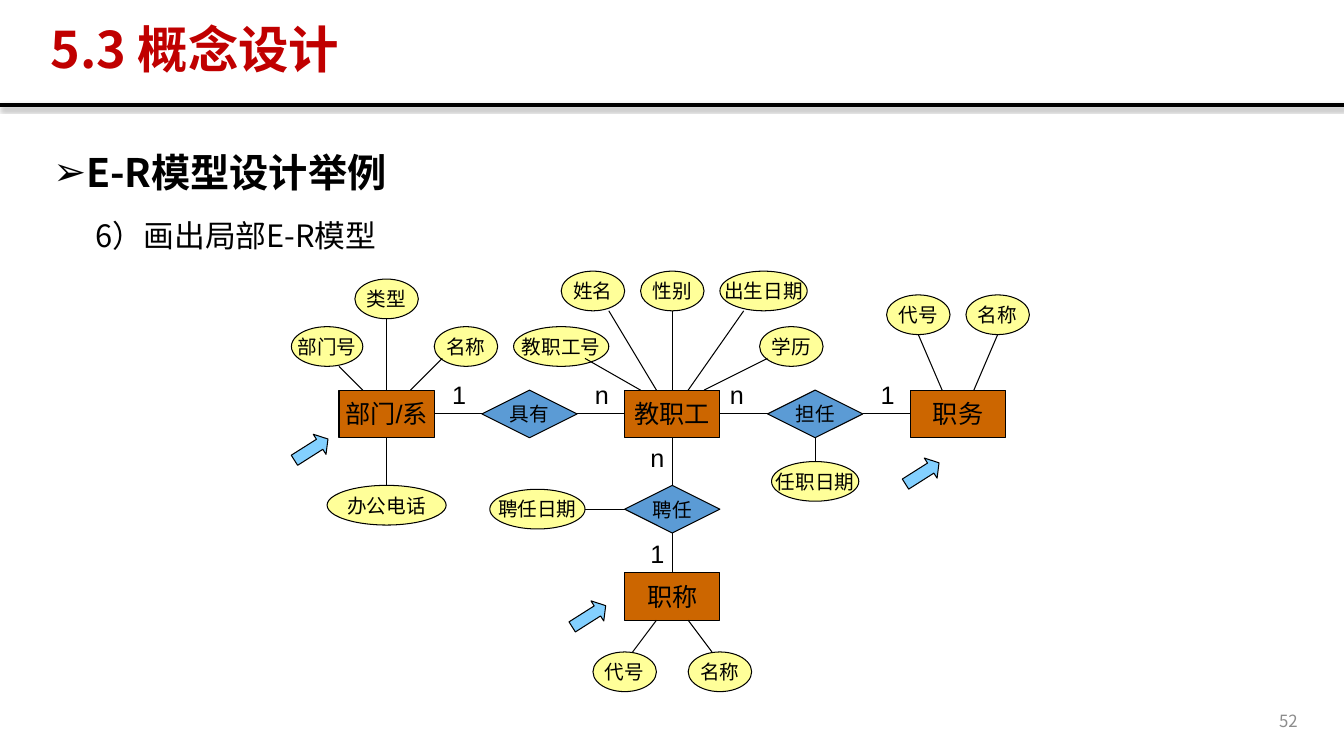
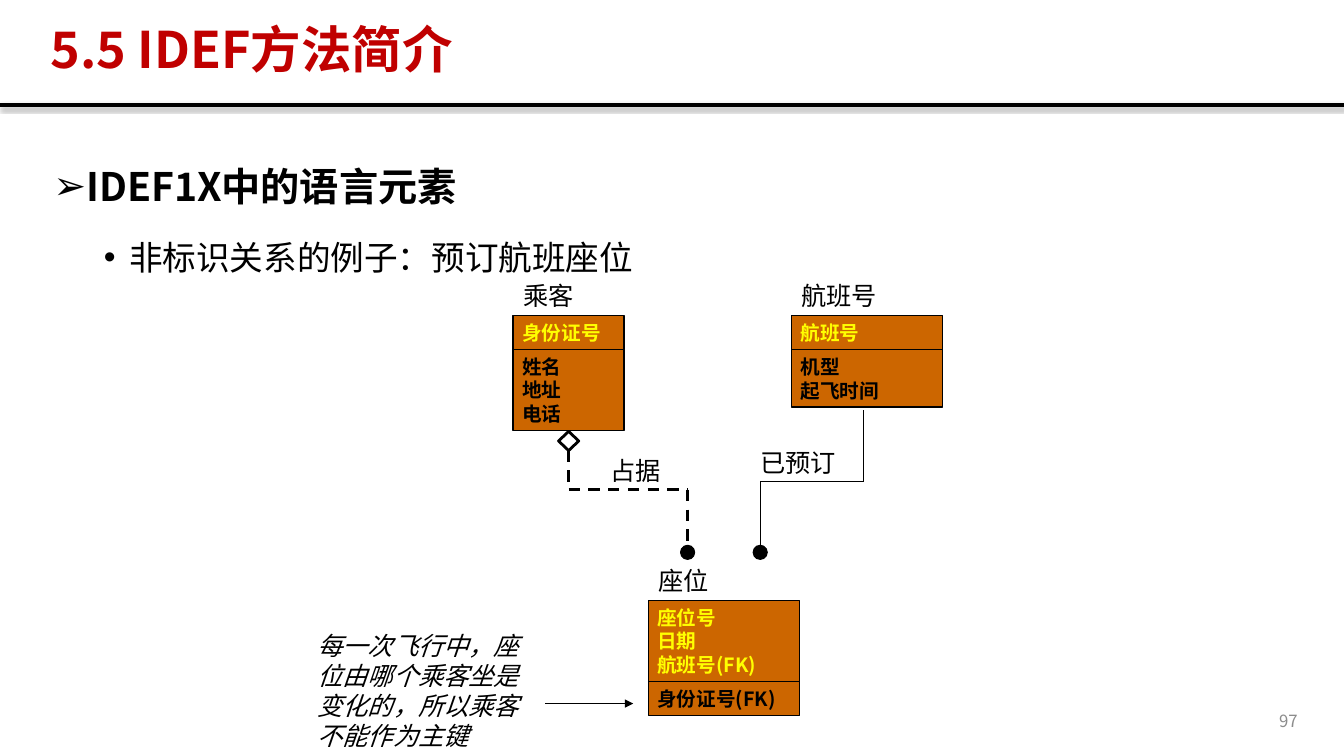
from collections import namedtuple
from itertools import pairwise

from lxml.etree import SubElement
from pptx import Presentation
from pptx.dml.color import RGBColor
from pptx.enum.dml import MSO_LINE
from pptx.enum.shapes import MSO_CONNECTOR, MSO_SHAPE as Preset
from pptx.enum.text import MSO_ANCHOR as Anchor, MSO_AUTO_SIZE, PP_ALIGN as Align
from pptx.oxml.ns import qn
from pptx.util import Inches, Pt

COLORS = {
    "black": "000000", "title": "C00000", "number": "8C8C8C",
    "entity": "CC6600", "relation": "5B9BD5", "attribute": "FFFF99",
    "pointer": "83D0FF", "key": "FFFF00",
}
NOTO, ARIAL = "Noto Sans CJK SC", "Arial"
TOP, LEFT, BOTTOM, RIGHT = range(4)

Area = namedtuple("Area", "left top width height")
TITLE = Area(0.4, 0.19, 11.7, 0.65)
BODY = Area(0.43, 1.33, 12.53, 5.42)
NUMBER = Area(9.97, 6.95, 3, 0.4)
ER_DIAGRAM = Area(2.89, 2.69, 7.32, 4.17)
IDEF_DIAGRAM = Area(3.05, 2.73, 6.3, 4.77)


def rgb(name):
    return RGBColor.from_string(COLORS[name])


def apply(target, values):
    for name, value in values.items():
        setattr(target, name, value)


def place(shape, area):
    apply(shape, {side: Inches(value) for side, value in area._asdict().items()})


def style_para(para, ink, look):
    for span in para.runs:
        apply(span.font, look)
        span.font.color.rgb = rgb(ink)


def set_asian_font(shape):
    for latin in list(shape.element.iter(qn("a:latin"))):
        asian = SubElement(latin.getparent(), qn("a:ea"), typeface=NOTO)
        latin.addnext(asian)


def write(shape, lines, ink="black", align=Align.LEFT, anchor=Anchor.TOP,
          wrap=True, **look):
    frame = shape.text_frame
    frame.text = "\n".join(lines)
    apply(frame, {"word_wrap": wrap, "vertical_anchor": anchor,
                  "auto_size": MSO_AUTO_SIZE.NONE})
    for para in frame.paragraphs:
        para.alignment = align
        style_para(para, ink, look)
    set_asian_font(shape)


def add_label(page, area, text, ink="black", **look):
    box = page.shapes.add_textbox(*map(Inches, area))
    write(box, [text], ink, **look)
    return box


def add_figure(page, preset, area, fill=None, weight=0.75):
    figure = page.shapes.add_shape(preset, *map(Inches, area))
    figure.shadow.inherit = False
    if fill:
        figure.fill.solid()
        figure.fill.fore_color.rgb = rgb(fill)
    else:
        figure.fill.background()
    figure.line.color.rgb = rgb("black")
    figure.line.width = Pt(weight)
    return figure


def add_line(page, start, end, weight=0.75, dash=None, arrow=False,
             begin=None, finish=None):
    line = page.shapes.add_connector(
        MSO_CONNECTOR.STRAIGHT, *map(Inches, (*start, *end)))
    line.line.color.rgb = rgb("black")
    line.line.width = Pt(weight)
    if dash:
        line.line.dash_style = dash
    if begin:
        line.begin_connect(*begin)
    if finish:
        line.end_connect(*finish)
    properties = line.element.spPr
    if arrow:
        SubElement(properties.find(qn("a:ln")), qn("a:tailEnd"), type="triangle")
    SubElement(properties, qn("a:effectLst"))
    return line


def add_header_rule(page):
    rule = add_line(page, (0, 1.04), (13.33, 1.04), 3)
    effects = rule.element.spPr.find(qn("a:effectLst"))
    shadow = SubElement(effects, qn("a:outerShdw"), blurRad=str(Pt(3.1)),
                        dist=str(Pt(1.8)), dir="5400000", rotWithShape="0")
    tint = SubElement(shadow, qn("a:srgbClr"), val=COLORS["black"])
    SubElement(tint, qn("a:alpha"), val="35000")


def fill_body(body, items, spacing):
    place(body, BODY)
    frame = body.text_frame
    frame.text = "\n".join(item["text"] for item in items)
    frame.auto_size = MSO_AUTO_SIZE.NONE
    for para, item in zip(frame.paragraphs, items):
        apply(para, {"level": item.get("level", 0), "alignment": Align.JUSTIFY,
                     "line_spacing": spacing, "space_before": Pt(item["before"])})
        properties = para._p.get_or_add_pPr()
        properties.set("marL", str(Inches(item["margin"])))
        properties.set("indent", str(Inches(item.get("indent", 0))))
        if "bullet" in item:
            SubElement(properties, qn("a:buFont"), typeface=ARIAL)
            SubElement(properties, qn("a:buChar"), char=item["bullet"])
        else:
            SubElement(properties, qn("a:buNone"))
        style_para(para, "black", {"name": NOTO, "size": Pt(item["size"]),
                                   "bold": item.get("bold", False)})
    set_asian_font(body)


def add_page(deck, title, heading, detail, spacing, number):
    page = deck.slides.add_slide(deck.slide_layouts[1])
    add_header_rule(page)
    place(page.shapes.title, TITLE)
    write(page.shapes.title, [title], "title", Align.JUSTIFY, Anchor.MIDDLE,
          name=NOTO, size=Pt(36), bold=True)
    page.shapes.title.text_frame.paragraphs[0].line_spacing = 0.9
    first = {"text": heading, "size": 28, "bold": True, "bullet": "➢",
             "margin": 0.25, "indent": -0.25, "before": 0}
    fill_body(page.placeholders[1], [first, detail], spacing)
    add_label(page, NUMBER, number, "number", align=Align.RIGHT,
              anchor=Anchor.MIDDLE, name=NOTO, size=Pt(12))
    return page


def draw_er_diagram(page, area):
    unit = area.width / 93

    def point(column, row):
        return area.left + column * unit, area.top + row * unit

    def cell(column, row, width, height):
        return Area(*point(column, row), width * unit, height * unit)

    def add_node(preset, fill, size, text, *where):
        node = add_figure(page, preset, cell(*where), fill)
        write(node, [text], align=Align.CENTER, anchor=Anchor.MIDDLE,
              wrap=False, name=ARIAL, size=Pt(size))
        return node

    nodes = {}
    for text, column, row in [("部门/系", 6, 15), ("教职工", 42, 15),
                              ("职务", 78, 15), ("职称", 42, 38)]:
        nodes[text] = add_node(Preset.RECTANGLE, "entity", 18, text, column, row, 12, 6)
    for text, column, row in [("具有", 24, 15), ("担任", 60, 15), ("聘任", 42, 27)]:
        nodes[text] = add_node(Preset.DIAMOND, "relation", 14, text, column, row, 12, 6)

    for first, side, second, other in [
            ("部门/系", RIGHT, "具有", LEFT), ("具有", RIGHT, "教职工", LEFT),
            ("教职工", RIGHT, "担任", LEFT), ("担任", RIGHT, "职务", LEFT),
            ("教职工", BOTTOM, "聘任", TOP), ("聘任", BOTTOM, "职称", TOP)]:
        add_line(page, (0, 0), (0, 0), begin=(nodes[first], side),
                 finish=(nodes[second], other))

    attributes = [
        ("类型", 8, 1, 8, (12, 6), ("部门/系", TOP)),
        ("部门号", 0, 7, 9, (6, 12), (9, 15)),
        ("名称", 18, 7, 8, (19, 11), (15, 15)),
        ("办公电话", 4.5, 27, 15, (12, 27), ("部门/系", BOTTOM)),
        ("教职工号", 28, 7, 12, (37, 11), (44, 15)),
        ("姓名", 34, 0, 8, (40, 5), (46, 15)),
        ("性别", 44, 0, 8, (48, 5), ("教职工", TOP)),
        ("出生日期", 54, 0, 11, (57, 5), (50, 15)),
        ("学历", 59, 7, 8, (60, 11), (52, 15)),
        ("任职日期", 60.5, 24, 11, (66, 24), ("担任", BOTTOM)),
        ("聘任日期", 25, 27.5, 12, (37, 30), ("聘任", LEFT)),
        ("代号", 75, 3, 8, (79, 8), (82, 15)),
        ("名称", 85, 3, 8, (89, 8), (86, 15)),
        ("代号", 38, 48, 8, (43, 48), (46, 44)),
        ("名称", 50, 48, 8, (53, 48), (50, 44)),
    ]
    for text, column, row, width, start, target in attributes:
        add_node(Preset.OVAL, "attribute", 14, text, column, row, width, 5)
        if target[0] in nodes:
            add_line(page, point(*start), point(*start),
                     finish=(nodes[target[0]], target[1]))
        else:
            add_line(page, point(*start), point(*target))

    for text, column, row in [("1", 19, 13), ("n", 37, 13), ("n", 54, 13),
                              ("1", 73, 13), ("n", 44, 21), ("1", 44, 33)]:
        add_label(page, cell(column, row, 4, 5), text, name=ARIAL, size=Pt(18))

    for column, row in [(0, 21), (77, 24), (35, 42)]:
        pointer = add_figure(page, Preset.RIGHT_ARROW, cell(column, row, 5, 3), "pointer")
        pointer.rotation = 327.6
        pointer.adjustments[1] = 0.415


def draw_entity_card(page, left, top, width, name, keys, fields):
    label_width = 0.3 + 0.26 * len(name)
    add_label(page, Area(left, top, label_width, 0.4), name, name=NOTO, size=Pt(18))
    top += 0.4
    for lines, ink in [(keys, "key"), (fields, "black")]:
        height = 0.11 + 0.23 * len(lines)
        part = add_figure(page, Preset.RECTANGLE, Area(left, top, width, height),
                          "entity", 1)
        write(part, lines, ink, anchor=Anchor.MIDDLE, name=NOTO, size=Pt(14), bold=True)
        apply(part.text_frame, {"margin_left": Inches(0.09), "margin_right": Inches(0.09)})
        top += height


def draw_relation(page, points, dot, begin=None, **look):
    segments = list(pairwise(points))
    for index, (start, end) in enumerate(segments):
        add_line(page, start, end, begin=begin if index == 0 else None,
                 finish=(dot, TOP) if end == points[-1] else None, **look)


def draw_idef_diagram(page, area):
    def point(x, y):
        return area.left + x, area.top + y

    def add_dot(x):
        return add_figure(page, Preset.OVAL,
                          Area(*point(x - 0.07, 2.68), 0.14, 0.14), "black")

    for x, y, width, *content in [
            (2.04, 0, 1.1, "乘客", ["身份证号"], ["姓名", "地址", "电话"]),
            (4.8, 0, 1.5, "航班号", ["航班号"], ["机型", "起飞时间"]),
            (3.38, 2.83, 1.5, "座位", ["座位号", "日期", "航班号(FK)"], ["身份证号(FK)"])]:
        draw_entity_card(page, *point(x, y), width, *content)

    aggregate = add_figure(page, Preset.DIAMOND,
                           Area(*point(2.49, 1.55), 0.2, 0.19), weight=2)
    occupied = [point(2.59, 1.74), point(2.59, 2.13), point(3.77, 2.13), point(3.77, 2.68)]
    draw_relation(page, occupied, add_dot(3.77), (aggregate, BOTTOM),
                  weight=2, dash=MSO_LINE.DASH)
    booked = [point(5.51, 1.34), point(5.51, 2.05), point(4.49, 2.05), point(4.49, 2.68)]
    draw_relation(page, booked, add_dot(4.49))

    for text, x, y in [("占据", 2.91, 1.74), ("已预订", 4.39, 1.66)]:
        add_label(page, Area(*point(x, y), 1, 0.4), text, name=NOTO, size=Pt(18))
    add_label(page, Area(*point(0, 3.47), 2.28, 1.3),
              "每一次飞行中，座位由哪个乘客坐是变化的，所以乘客不能作为主键",
              name=NOTO, size=Pt(18), italic=True)
    add_line(page, point(2.36, 4.25), point(3.23, 4.25), arrow=True)


def main():
    deck = Presentation()
    deck.slide_width, deck.slide_height = Inches(13.33), Inches(7.5)

    step = {"text": "6）画出局部E-R模型", "size": 22, "margin": 0.42, "before": 10}
    page = add_page(deck, "5.3 概念设计", "E-R模型设计举例", step, 1.2, "52")
    draw_er_diagram(page, ER_DIAGRAM)

    example = {"text": "非标识关系的例子：预订航班座位", "size": 24, "level": 1,
               "bullet": "•", "margin": 0.75, "indent": -0.25, "before": 5}
    page = add_page(deck, "5.5 IDEF方法简介", "IDEF1X中的语言元素", example, 1.5, "97")
    draw_idef_diagram(page, IDEF_DIAGRAM)

    deck.save("out.pptx")


if __name__ == "__main__":
    main()
